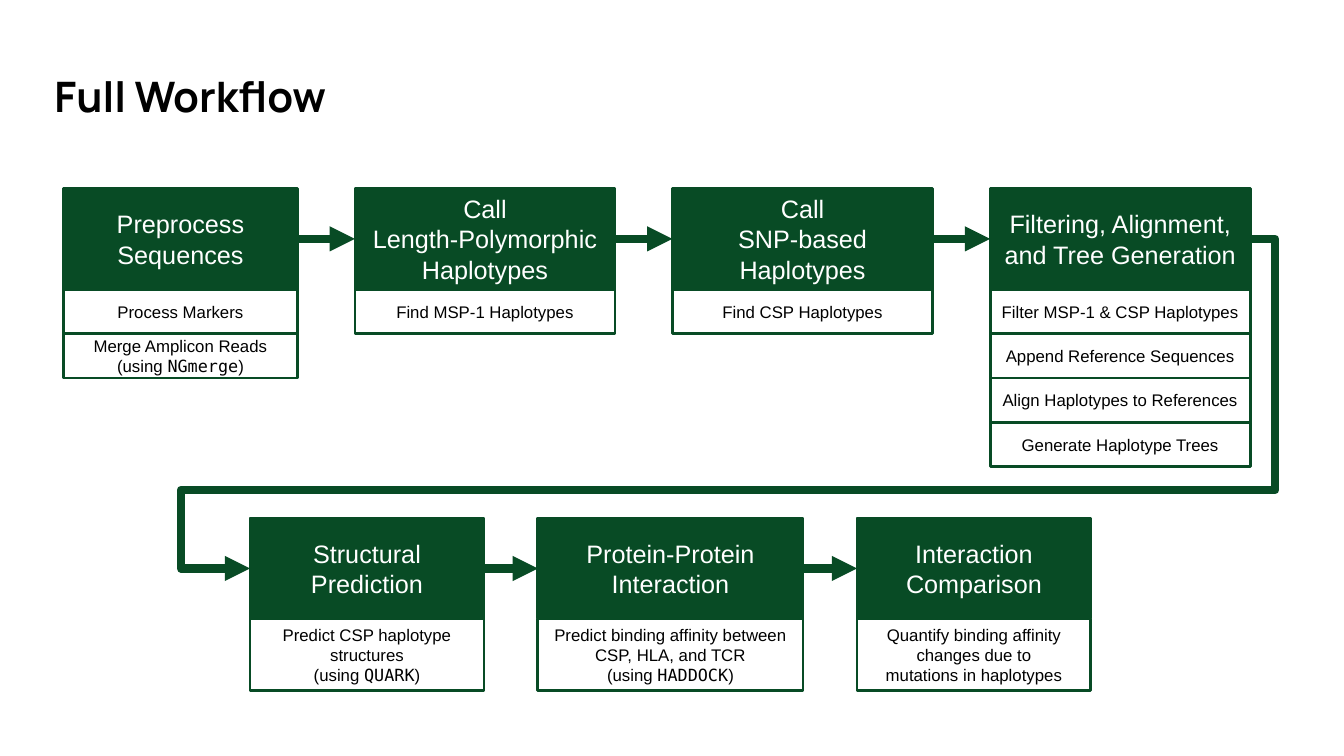
from dataclasses import dataclass

from lxml import etree
from pptx import Presentation
from pptx.dml.color import RGBColor
from pptx.enum import shapes, text
from pptx.oxml import ns
from pptx.util import Inches, Pt

GREEN = RGBColor(0x08, 0x4B, 0x25)
WHITE = RGBColor(0xFF, 0xFF, 0xFF)
BLACK = RGBColor(0x00, 0x00, 0x00)
BODY_FONT, CODE_FONT, TITLE_FONT = "Arial", "DejaVu Sans Mono", "Manrope"
HEADER_HEIGHT = 1.0
RIGHT_SITE, LEFT_SITE = 3, 1


@dataclass(frozen=True)
class Stage:
    """One column; a line break starts a paragraph, backticks mark code."""
    width: float
    header: str
    steps: tuple[str, ...]


@dataclass(frozen=True)
class Row:
    left: float
    top: float
    gap: float
    step_height: float
    stages: tuple[Stage, ...]


ROWS = (
    Row(0.63, 1.87, 0.57, 0.44, (
        Stage(2.32, "Preprocess Sequences",
              ("Process Markers", "Merge Amplicon Reads\n(using `NGmerge`)")),
        Stage(2.58, "Call\nLength-Polymorphic Haplotypes", ("Find MSP-1 Haplotypes",)),
        Stage(2.58, "Call\nSNP-based Haplotypes", ("Find CSP Haplotypes",)),
        Stage(2.58, "Filtering, Alignment, and Tree Generation",
              ("Filter MSP-1 & CSP Haplotypes", "Append Reference Sequences",
               "Align Haplotypes to References", "Generate Haplotype Trees")),
    )),
    Row(2.48, 5.14, 0.535, 0.71, (
        Stage(2.32, "Structural Prediction",
              ("Predict CSP haplotype structures\n(using `QUARK`)",)),
        Stage(2.63, "Protein-Protein Interaction",
              ("Predict binding affinity between\nCSP, HLA, and TCR\n(using `HADDOCK`)",)),
        Stage(2.32, "Interaction Comparison",
              ("Quantify binding affinity changes due to\nmutations in haplotypes",)),
    )),
)


def add_box(slide, left: float, top: float, width: float, height: float,
            content: str, size: int, fill: RGBColor, color: RGBColor):
    box = slide.shapes.add_shape(shapes.MSO_SHAPE.RECTANGLE, Inches(left), Inches(top),
                                 Inches(width), Inches(height))
    box.shadow.inherit = False
    box.fill.solid()
    box.fill.fore_color.rgb = fill
    box.line.color.rgb = GREEN
    box.line.width = Pt(2)
    frame = box.text_frame
    frame.word_wrap = True
    frame.vertical_anchor = text.MSO_ANCHOR.MIDDLE
    for index, line in enumerate(content.split("\n")):
        paragraph = frame.add_paragraph() if index else frame.paragraphs[0]
        paragraph.alignment = text.PP_ALIGN.CENTER
        for part, words in enumerate(line.split("`")):
            run = paragraph.add_run()
            run.text = words
            run.font.name = CODE_FONT if part % 2 else BODY_FONT
            run.font.size = Pt(size)
            run.font.color.rgb = color
    return box


def add_arrow(slide, source, target, kind=shapes.MSO_CONNECTOR.STRAIGHT):
    """Join the right side of source to the left side of target."""
    arrow = slide.shapes.add_connector(kind, 0, 0, 0, 0)
    arrow.begin_connect(source, RIGHT_SITE)
    arrow.end_connect(target, LEFT_SITE)
    arrow.line.color.rgb = GREEN
    arrow.line.width = Pt(6)
    properties = arrow._element.spPr
    line = properties.find(ns.qn("a:ln"))
    etree.SubElement(line, ns.qn("a:tailEnd"), type="triangle")
    etree.SubElement(properties, ns.qn("a:effectLst"))
    return arrow


def add_return_arrow(slide, source, target) -> None:
    """Lead from the end of one row around to the start of the next."""
    arrow = add_arrow(slide, source, target, shapes.MSO_CONNECTOR.ELBOW)
    geometry = arrow._element.spPr.find(ns.qn("a:prstGeom"))
    geometry.set("prst", "bentConnector5")
    for old in list(geometry):
        geometry.remove(old)
    guides = etree.SubElement(geometry, ns.qn("a:avLst"))
    for number, value in enumerate((-2500, 76200, 106900), start=1):
        etree.SubElement(guides, ns.qn("a:gd"), name=f"adj{number}", fmla=f"val {value}")


def add_row(slide, row: Row) -> list:
    """Draw the stages with their arrows and return the header boxes."""
    headers = []
    left = row.left
    for stage in row.stages:
        headers.append(add_box(slide, left, row.top, stage.width, HEADER_HEIGHT,
                               stage.header, 18, GREEN, WHITE))
        for index, step in enumerate(stage.steps):
            top = row.top + HEADER_HEIGHT + index * row.step_height
            add_box(slide, left, top, stage.width, row.step_height, step, 12, WHITE, BLACK)
        left += stage.width + row.gap
    for source, target in zip(headers, headers[1:]):
        add_arrow(slide, source, target)
    return headers


def format_title(slide) -> None:
    title = slide.shapes.title
    title.left, title.top = Inches(0.44), Inches(0.6)
    title.width, title.height = Inches(12.42), Inches(0.93)
    frame = title.text_frame
    frame.vertical_anchor = text.MSO_ANCHOR.TOP
    frame.margin_left = frame.margin_right = Inches(0.1)
    frame.margin_top = frame.margin_bottom = Inches(0.1)
    paragraph = frame.paragraphs[0]
    paragraph.alignment = text.PP_ALIGN.LEFT
    run = paragraph.add_run()
    run.text = "Full Workflow"
    run.font.name = TITLE_FONT
    run.font.size = Pt(30)
    run.font.bold = True
    run.font.color.rgb = BLACK


def main() -> None:
    presentation = Presentation()
    presentation.slide_width, presentation.slide_height = Inches(13.33), Inches(7.5)
    slide = presentation.slides.add_slide(presentation.slide_layouts[5])
    format_title(slide)
    upper, lower = (add_row(slide, row) for row in ROWS)
    add_return_arrow(slide, upper[-1], lower[0])
    presentation.save("out.pptx")


if __name__ == "__main__":
    main()
